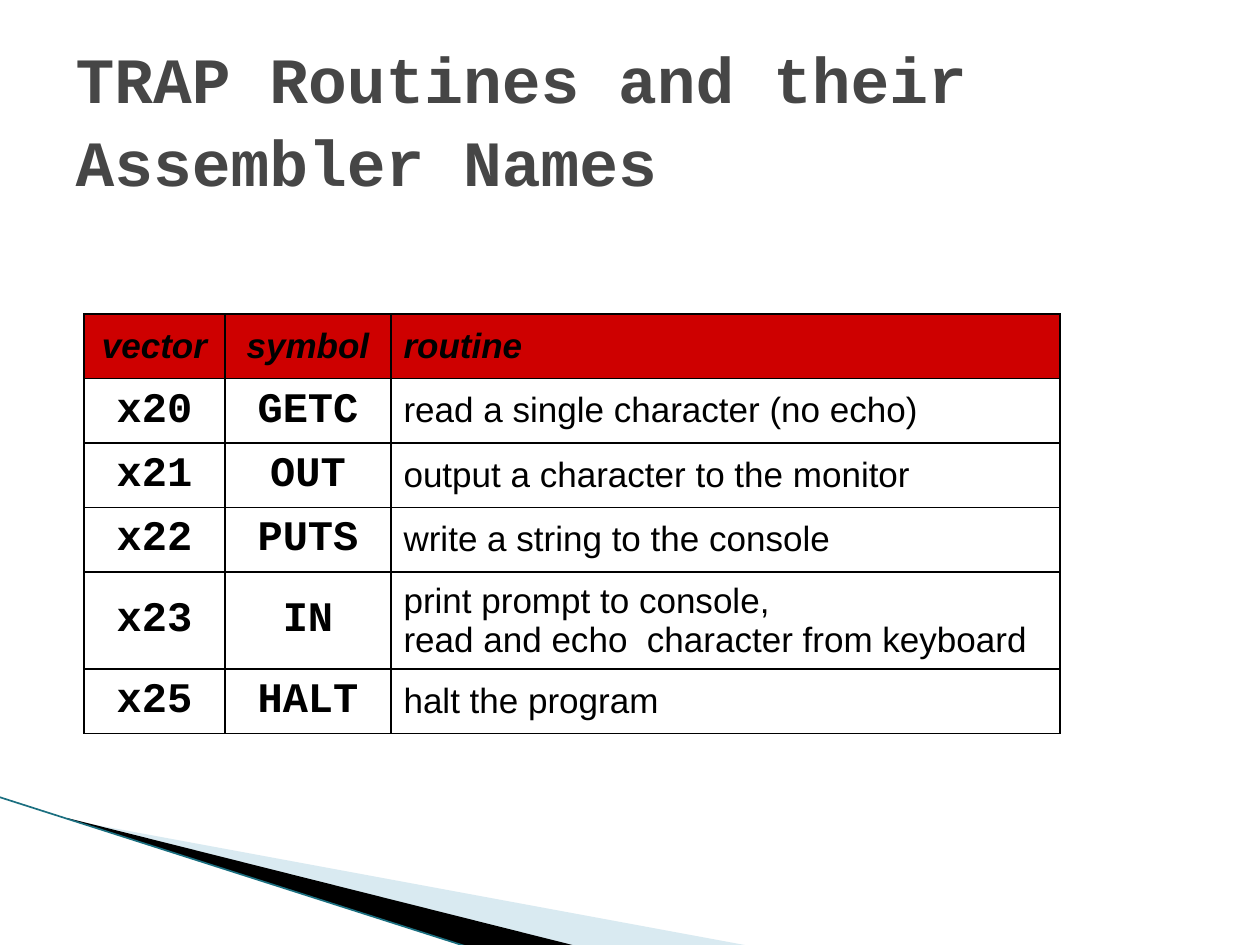
from lxml.etree import SubElement
from pptx import Presentation
from pptx.dml.color import RGBColor
from pptx.enum.shapes import MSO_CONNECTOR
from pptx.enum.text import MSO_ANCHOR, MSO_AUTO_SIZE, PP_ALIGN
from pptx.oxml.ns import qn
from pptx.util import Emu, Pt

# Content
TITLE = "TRAP Routines and their Assembler Names"
HEADINGS = ("vector", "symbol", "routine")
ROUTINES = [
    ("x20", "GETC", "read a single character (no echo)"),
    ("x21", "OUT", "output a character to the monitor"),
    ("x22", "PUTS", "write a string to the console"),
    ("x23", "IN", "print prompt to console,\vread and echo  character from keyboard"),
    ("x25", "HALT", "halt the program"),
]


class Theme:
    title = "464646"
    ink = "000000"
    heading_fill = ("CE0000", 50)
    pale_wedge = ("A0CBDC", 40)
    dark_wedge = ("000000", 100)
    edge = "1B6F80"
    sans, mono = "Arial", "Courier New"
    title_size, body_size, code_size = 36.9, 20, 24
    border, edge_width = 1, 0.95


# Layout in px, 126 to the inch
SLIDE = (1260, 945)
TITLE_BOX = (63, 38, 1134, 157)
TABLE_AT = (84, 314)
COLUMNS = (141, 166, 669)
LINE_ROW, EXTRA_LINE = 64.5, 32.5
WEDGES = [
    ([(69, 820), (750, 946), (575, 946), (69, 819)], Theme.pale_wedge),
    ([(67, 818), (576, 946), (469, 947), (68, 819)], Theme.dark_wedge),
]
EDGE_LINE = (-1, 797, 468, 947)
EMU_PER_PX = 914400 / 126


def px(value):
    return Emu(round(value * EMU_PER_PX))


def paint(fill, color, opacity):
    fill.solid()
    fill.fore_color.rgb = RGBColor.from_string(color)
    if opacity < 100:
        srgb = fill._xPr.find(".//" + qn("a:srgbClr"))
        SubElement(srgb, qn("a:alpha"), val=str(opacity * 1000))


def set_font(paragraph, name, size, color, bold=False, italic=False):
    font = paragraph.font
    font.name, font.size, font.bold, font.italic = name, Pt(size), bold, italic
    font.color.rgb = RGBColor.from_string(color)


def add_borders(cell):
    properties = cell._tc.get_or_add_tcPr()
    for side in ("lnL", "lnR", "lnT", "lnB"):
        border = SubElement(properties, qn("a:" + side), w=str(Pt(Theme.border)))
        fill = SubElement(border, qn("a:solidFill"))
        SubElement(fill, qn("a:srgbClr"), val=Theme.ink)


def add_swoosh(slide):
    for (start, *corners), color in WEDGES:
        builder = slide.shapes.build_freeform(*start, scale=EMU_PER_PX)
        builder.add_line_segments(corners, close=True)
        wedge = builder.convert_to_shape()
        wedge.shadow.inherit = False
        wedge.line.fill.background()
        paint(wedge.fill, *color)
    edge = slide.shapes.add_connector(MSO_CONNECTOR.STRAIGHT, *map(px, EDGE_LINE))
    edge.line.color.rgb = RGBColor.from_string(Theme.edge)
    edge.line.width = Pt(Theme.edge_width)
    SubElement(edge._element.spPr, qn("a:effectLst"))


def place_title(slide):
    title = slide.shapes.title
    title.left, title.top, title.width, title.height = map(px, TITLE_BOX)
    frame = title.text_frame
    frame.text = TITLE
    frame.word_wrap = True
    frame.auto_size = MSO_AUTO_SIZE.NONE
    frame.vertical_anchor = MSO_ANCHOR.MIDDLE
    heading = frame.paragraphs[0]
    heading.alignment = PP_ALIGN.LEFT
    heading.line_spacing = 1.07
    set_font(heading, Theme.mono, Theme.title_size, Theme.title, bold=True)


def add_routine_table(slide):
    rows = [HEADINGS, *ROUTINES]
    heights = [LINE_ROW + EXTRA_LINE * row[-1].count("\v") for row in rows]
    table = slide.shapes.add_table(
        len(rows), len(COLUMNS), *map(px, TABLE_AT), px(sum(COLUMNS)), px(sum(heights))
    ).table
    table.first_row = table.horz_banding = False
    for column, width in zip(table.columns, COLUMNS):
        column.width = px(width)
    for r, (row, height) in enumerate(zip(rows, heights)):
        table.rows[r].height = px(height)
        for c, words in enumerate(row):
            cell = table.cell(r, c)
            is_heading, is_code = r == 0, r > 0 and c < 2
            add_borders(cell)
            if is_heading:
                paint(cell.fill, *Theme.heading_fill)
            else:
                cell.fill.background()
            cell.vertical_anchor = MSO_ANCHOR.MIDDLE
            paragraph = cell.text_frame.paragraphs[0]
            paragraph.text = words
            paragraph.alignment = PP_ALIGN.CENTER if c < 2 else PP_ALIGN.LEFT
            name, size = (
                (Theme.mono, Theme.code_size) if is_code else (Theme.sans, Theme.body_size)
            )
            set_font(paragraph, name, size, Theme.ink, is_heading or is_code, is_heading)


def main():
    deck = Presentation()
    deck.slide_width, deck.slide_height = map(px, SLIDE)
    slide = deck.slides.add_slide(deck.slide_layouts[5])
    add_swoosh(slide)
    place_title(slide)
    add_routine_table(slide)
    deck.save("out.pptx")


if __name__ == "__main__":
    main()
